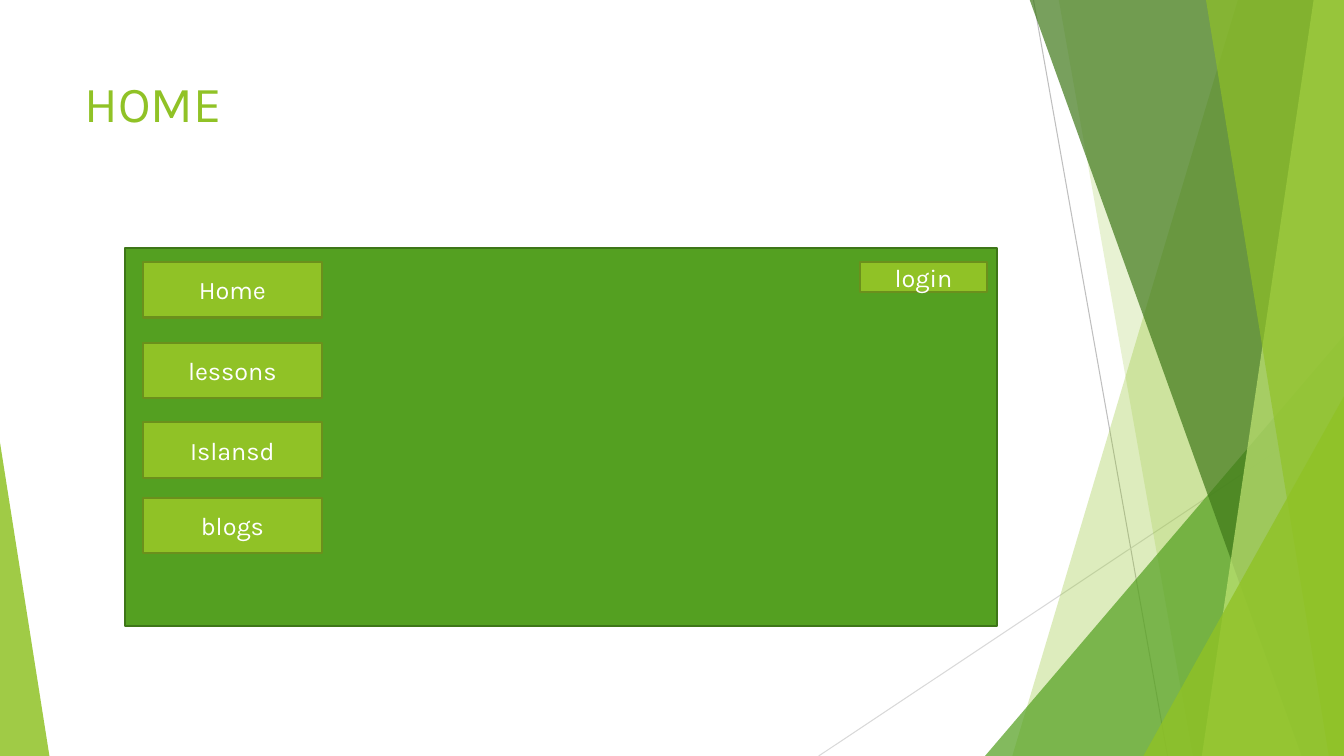
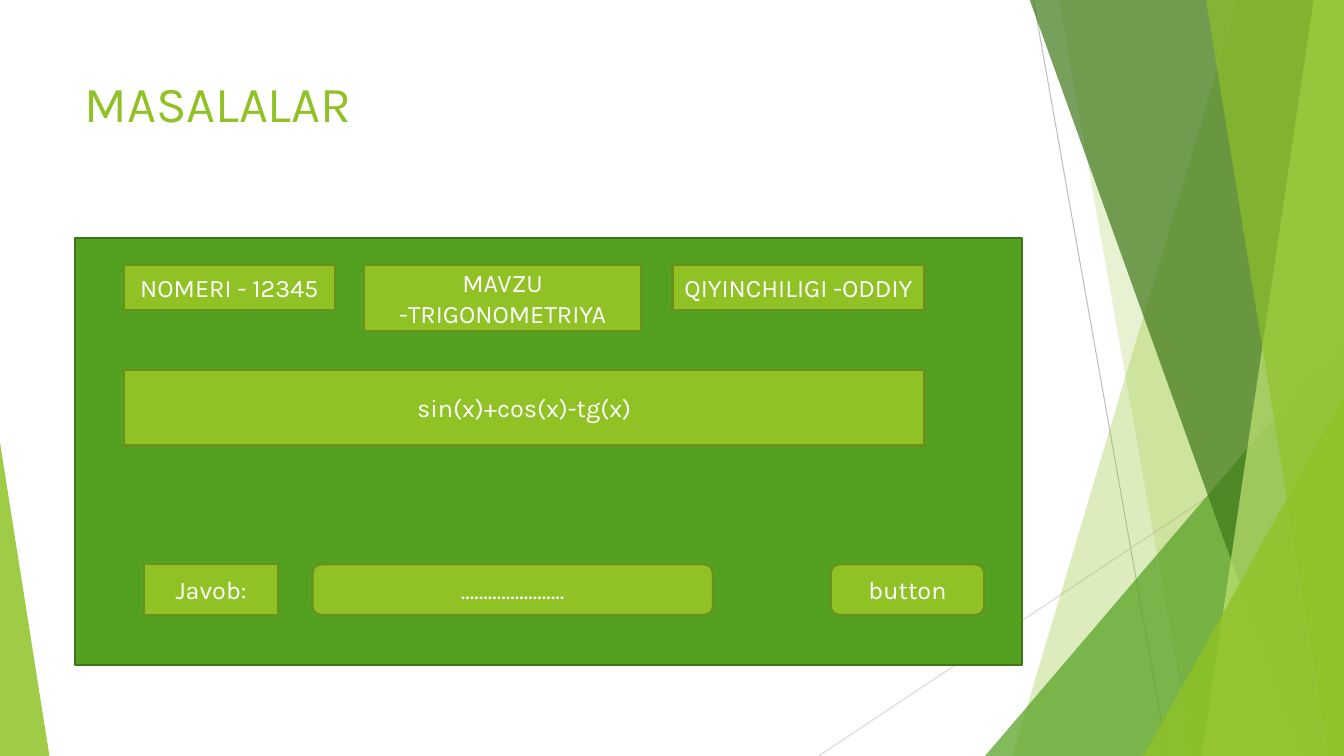
from lxml.etree import SubElement
from pptx import Presentation
from pptx.dml.color import RGBColor
from pptx.enum.shapes import MSO_CONNECTOR, MSO_SHAPE
from pptx.enum.text import MSO_ANCHOR, PP_ALIGN
from pptx.oxml.ns import qn
from pptx.util import Pt

PX = 9144
WIDTH, HEIGHT = 1333, 750
FACET_TOP = -1

LIME = RGBColor(0x90, 0xC2, 0x26)
LIME_EDGE = RGBColor(0x6B, 0x90, 0x1C)
PALE_LIME = RGBColor(0xC0, 0xE4, 0x74)
GREEN = RGBColor(0x54, 0xA0, 0x21)
GREEN_EDGE = RGBColor(0x3E, 0x76, 0x18)
DARK_GREEN = RGBColor(0x3F, 0x78, 0x19)
GREY = RGBColor(0xBF, 0xBF, 0xBF)
PALE_GREY = RGBColor(0xD9, 0xD9, 0xD9)
WHITE = RGBColor(0xFF, 0xFF, 0xFF)

TITLE_BOX = (74, 67, 940, 144)
TITLE_FONT = {"name": "Karla", "size": Pt(36)}
LABEL_FONT = {"name": "Karla", "size": Pt(18)}
RECT, ROUND = MSO_SHAPE.RECTANGLE, MSO_SHAPE.ROUNDED_RECTANGLE

RAYS = [((1025, 0), (1158, 750), GREY), ((1333, 403), (812, 750), PALE_GREY)]

FACETS = [
    ("band", (1228, 1004), LIME, 30),
    ("band", (1050, 1183), LIME, 20),
    ("triangle", (977, 333, 356, 417, 1), GREEN, 72),
    ("band", (1021, 1291), DARK_GREEN, 70),
    ("band", (1303, 1192), PALE_LIME, 70),
    ("band", (1196, 1318), LIME, 65),
    ("triangle", (1134, 393, 199, 357, 1), LIME, 80),
    ("triangle", (0, 439, 49, 311, 0), LIME, 85),
]

MENU = [("Home", 260), ("lessons", 340), ("Islansd", 419), ("blogs", 494)]

SLIDES = [
    {
        "title": "HOME",
        "panel": (124, 246, 865, 375),
        "labels": [(text, (142, top, 177, 55), RECT) for text, top in MENU]
        + [("login", (853, 260, 126, 30), RECT)],
    },
    {
        "title": "MASALALAR",
        "panel": (74, 236, 940, 424),
        "labels": [
            ("NOMERI - 12345", (123, 263, 209, 45), RECT),
            ("MAVZU -TRIGONOMETRIYA", (361, 263, 275, 65), RECT),
            ("QIYINCHILIGI -ODDIY", (667, 263, 250, 45), RECT),
            ("sin(x)+cos(x)-tg(x)", (123, 367, 794, 75), RECT),
            ("Javob:", (143, 560, 133, 50), RECT),
            (".......................", (310, 560, 397, 50), ROUND),
            ("button", (824, 560, 152, 50), ROUND),
        ],
    },
]


def emu(lengths):
    return [length * PX for length in lengths]


def write(shape, text, font_format, color):
    shape.text_frame.word_wrap = True
    paragraph = shape.text_frame.paragraphs[0]
    run = paragraph.add_run()
    run.text = text
    for name, value in font_format.items():
        setattr(run.font, name, value)
    run.font.color.rgb = color
    return paragraph


def paint(shape, fill, edge=None, opacity=100):
    shape.shadow.inherit = False
    shape.fill.solid()
    shape.fill.fore_color.rgb = fill
    if opacity < 100:
        color = shape.fill._xPr.find(qn("a:solidFill")).find(qn("a:srgbClr"))
        SubElement(color, qn("a:alpha")).set("val", str(opacity * 1000))
    if edge is None:
        shape.line.fill.background()
    else:
        shape.line.color.rgb = edge
        shape.line.width = Pt(1.5)


def add_box(slide, box, fill, edge, kind=RECT):
    shape = slide.shapes.add_shape(kind, *emu(box))
    paint(shape, fill, edge)
    return shape


def add_label(slide, text, box, kind):
    shape = add_box(slide, box, LIME, LIME_EDGE, kind)
    shape.text_frame.vertical_anchor = MSO_ANCHOR.MIDDLE
    write(shape, text, LABEL_FONT, WHITE).alignment = PP_ALIGN.CENTER


def add_band(slide, top_left, bottom_left):
    builder = slide.shapes.build_freeform(top_left, FACET_TOP, scale=PX)
    builder.add_line_segments(
        [(WIDTH, FACET_TOP), (WIDTH, HEIGHT), (bottom_left, HEIGHT)], close=True
    )
    return builder.convert_to_shape()


def add_triangle(slide, left, top, width, height, apex):
    shape = slide.shapes.add_shape(
        MSO_SHAPE.ISOSCELES_TRIANGLE, *emu((left, top, width, height))
    )
    shape.adjustments[0] = apex
    return shape


def add_backdrop(slide):
    for start, end, color in RAYS:
        ray = slide.shapes.add_connector(MSO_CONNECTOR.STRAIGHT, *emu(start + end))
        ray.line.color.rgb = color
        ray.line.width = Pt(0.75)
        SubElement(ray._element.spPr, qn("a:effectLst"))
    makers = {"band": add_band, "triangle": add_triangle}
    for kind, geometry, color, opacity in FACETS:
        paint(makers[kind](slide, *geometry), color, opacity=opacity)


def main():
    presentation = Presentation()
    presentation.slide_width, presentation.slide_height = emu((WIDTH, HEIGHT))
    for content in SLIDES:
        slide = presentation.slides.add_slide(presentation.slide_layouts[6])
        add_backdrop(slide)
        title = slide.shapes.add_textbox(*emu(TITLE_BOX))
        write(title, content["title"], TITLE_FONT, LIME)
        add_box(slide, content["panel"], GREEN, GREEN_EDGE)
        for text, box, kind in content["labels"]:
            add_label(slide, text, box, kind)
    presentation.save("out.pptx")


if __name__ == "__main__":
    main()
